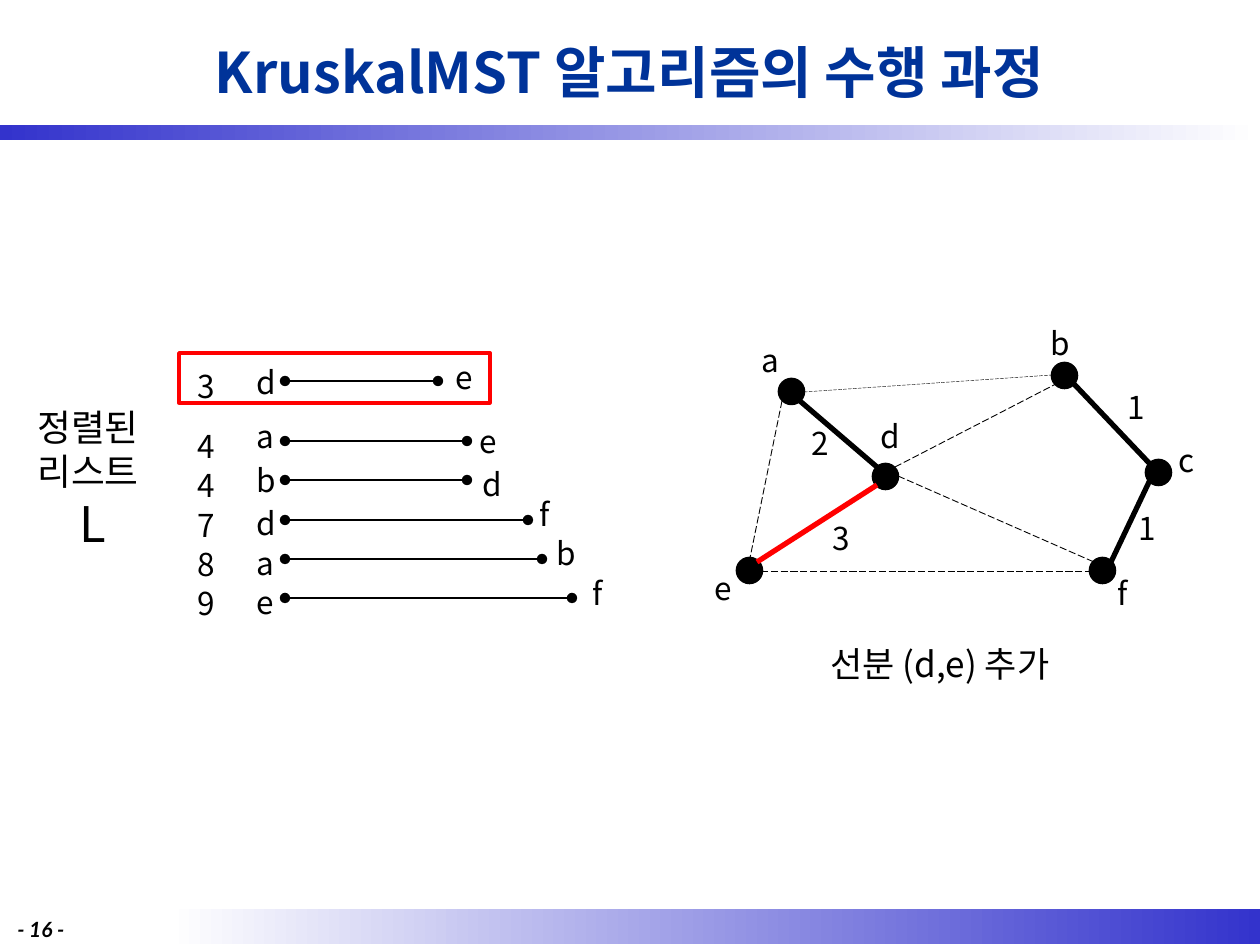
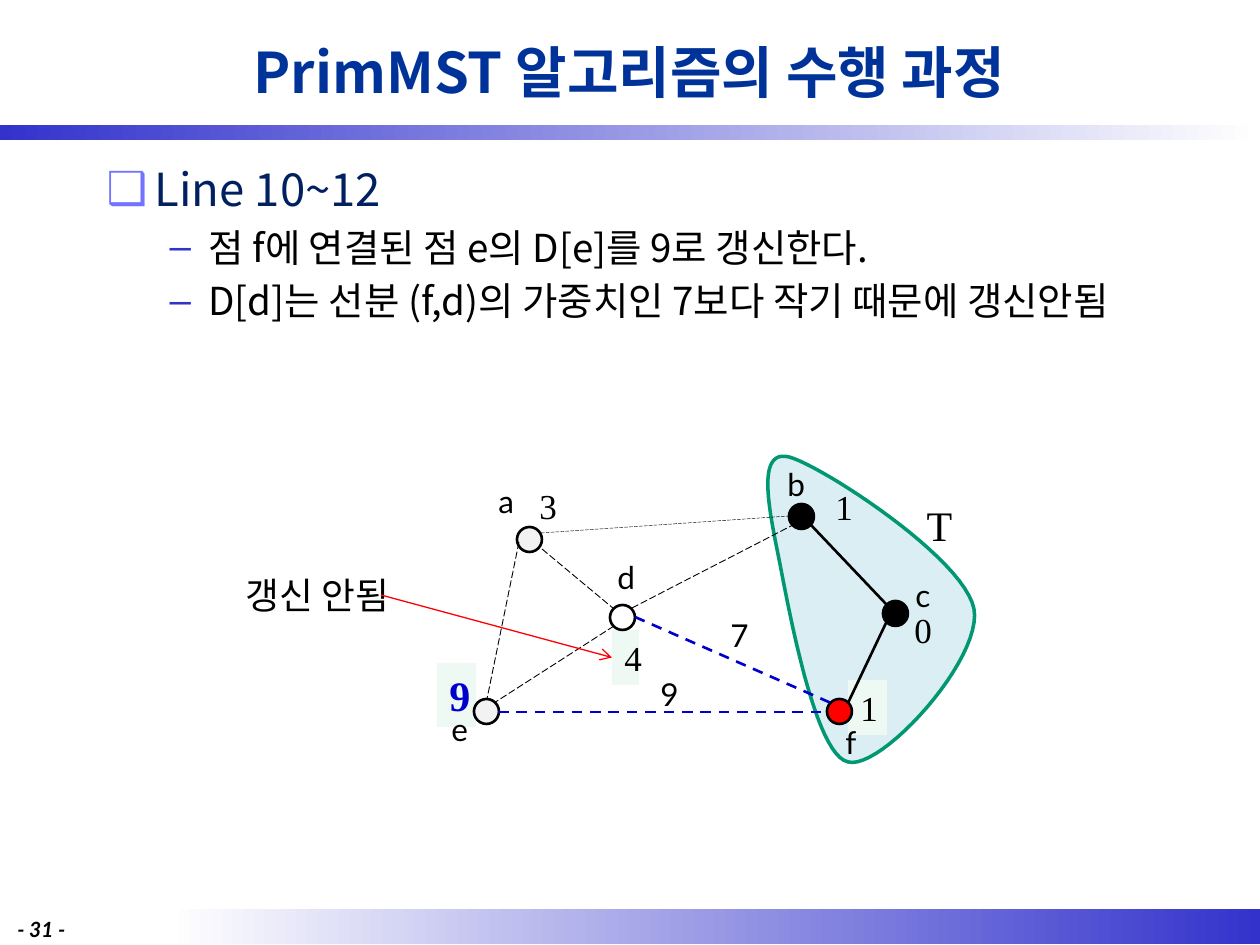
from lxml.etree import SubElement
from pptx import Presentation
from pptx.dml.color import RGBColor
from pptx.enum.dml import MSO_LINE
from pptx.enum.shapes import MSO_CONNECTOR, MSO_SHAPE
from pptx.enum.text import MSO_ANCHOR, MSO_AUTO_SIZE, PP_ALIGN
from pptx.oxml.ns import qn
from pptx.util import Pt

EMU_PER_PX = 914400 / 126

BLACK = RGBColor(0, 0, 0)
WHITE = RGBColor(255, 255, 255)
RED = RGBColor(255, 0, 0)
BLUE = RGBColor(0, 0, 0xCC)
BAND_BLUE = RGBColor(0x33, 0x33, 0xCC)
TITLE_BLUE = RGBColor(0, 0x33, 0x99)
NAVY = RGBColor(0, 0x20, 0x60)
LILAC = RGBColor(0x73, 0x73, 0xFF)
MINT = RGBColor(0xEE, 0xF9, 0xF4)
PALE_BLUE = RGBColor(0xDB, 0xEE, 0xF4)
GREEN = RGBColor(0, 0x97, 0x71)
LIGHT_GRAY = RGBColor(0xF2, 0xF2, 0xF2)

KOREAN = "Noto Sans CJK KR"
LATO = "Lato"
SERIF = "Times New Roman"
KOREAN_LABEL = {"name": KOREAN, "size": Pt(18)}
LATO_LABEL = {"name": LATO, "size": Pt(18)}
SERIF_LABEL = {"name": SERIF, "size": Pt(20)}
PAGE_NUMBER = {"name": LATO, "size": Pt(12), "bold": True, "italic": True}
TITLE = {"name": KOREAN, "size": Pt(32), "bold": True}

NODE_SIZE = 25
NODES = {"a": (779, 379), "b": (1052, 363), "c": (1146, 460),
         "d": (873, 464), "e": (737, 558), "f": (1090, 558)}
NODE_LABELS = {"a": (749, 335), "b": (1038, 318), "c": (1166, 435),
               "d": (868, 411), "e": (702, 563), "f": (1105, 568)}
EDGES = {"ad": (800, 401, 877, 467), "de": (877, 485, 757, 562),
         "ae": (782, 401, 750, 558), "df": (898, 476, 1094, 562),
         "ef": (761, 571, 1090, 571), "ab": (804, 392, 1052, 375),
         "bd": (895, 467, 1056, 384), "bc": (1150, 464, 1074, 384),
         "cf": (1111, 562, 1150, 480)}
PRIM_SHIFT = (-263, 141)

SORTED_EDGES = [
    ("3", "d", 381, 357, 438, "e", 443, 352),
    ("4", "a", 441, 411, 467, "e", 467, 416),
    ("4", "b", 480, 455, 467, "d", 470, 459),
    ("7", "d", 520, 498, 528, "f", 527, 489),
    ("8", "a", 559, 538, 542, "b", 544, 528),
    ("9", "e", 598, 577, 572, "f", 580, 568),
]

TREE_START = (848, 762)
TREE_CURVES = [
    ((815, 755), (789, 610), (779, 559)),
    ((769, 509), (756, 449), (789, 457)),
    ((822, 466), (964, 558), (974, 609)),
    ((983, 659), (881, 771), (848, 762)),
]


def px(*lengths):
    return [round(length * EMU_PER_PX) for length in lengths]


def set_attributes(target, formats):
    for name, value in formats.items():
        setattr(target, name, value)


def write(paragraph, text, formats, color=BLACK, **paragraph_formats):
    run = paragraph.add_run()
    run.text = text
    set_attributes(run.font, formats)
    run.font.color.rgb = color
    SubElement(run.font._element, qn("a:ea"), typeface=KOREAN)
    set_attributes(paragraph, paragraph_formats)


def place(shape, left, top, width, height):
    shape.left, shape.top, shape.width, shape.height = px(left, top, width, height)


def add_text(slide, text, left, top, formats, width=50, height=50, color=BLACK,
             align=PP_ALIGN.LEFT, fill=None):
    box = slide.shapes.add_textbox(*px(left, top, width, height))
    box.text_frame.word_wrap = True
    if fill is not None:
        box.fill.solid()
        box.fill.fore_color.rgb = fill
    write(box.text_frame.paragraphs[0], text, formats, color, alignment=align)
    return box


def add_korean(slide, text, left, top, size=18, width=50, height=50):
    return add_text(slide, text, left, top, {**KOREAN_LABEL, "size": Pt(size)}, width, height)


def add_distance(slide, text, left, top, width=39, height=55, formats=SERIF_LABEL, **options):
    return add_text(slide, text, left, top, formats, width, height,
                    align=PP_ALIGN.CENTER, **options)


def style_shape(shape, fill=None, line=None, weight=1.5):
    shape.shadow.inherit = False
    if fill is None:
        shape.fill.background()
    else:
        shape.fill.solid()
        shape.fill.fore_color.rgb = fill
    if line is None:
        shape.line.fill.background()
    else:
        shape.line.color.rgb = line
        shape.line.width = Pt(weight)


def add_line(slide, ends, color=BLACK, weight=1.5, dash=None, head=None, tail=None):
    line = slide.shapes.add_connector(MSO_CONNECTOR.STRAIGHT, *px(*ends))
    line.line.color.rgb = color
    line.line.width = Pt(weight)
    if dash is not None:
        line.line.dash_style = dash
    outline = line.line._get_or_add_ln()
    for tag, kind in (("a:headEnd", head), ("a:tailEnd", tail)):
        if kind:
            SubElement(outline, qn(tag), type=kind)
    SubElement(line._element.spPr, qn("a:effectLst"))
    return line


def add_band(slide, bounds, *colors):
    band = slide.shapes.add_shape(MSO_SHAPE.RECTANGLE, *px(*bounds))
    style_shape(band)
    band.fill.gradient()
    band.fill.gradient_angle = 0
    for position, (stop, color) in enumerate(zip(band.fill.gradient_stops, colors)):
        stop.color.rgb = color
        stop.position = position


def add_slide(presentation, layout, title, number):
    slide = presentation.slides.add_slide(presentation.slide_layouts[layout])
    add_band(slide, (168, 909, 1092, 35), WHITE, BAND_BLUE)
    add_band(slide, (0, 125, 1260, 15), BAND_BLUE, WHITE)
    heading = slide.shapes.title
    place(heading, 94, 6, 1071, 130)
    set_attributes(heading.text_frame, {"vertical_anchor": MSO_ANCHOR.MIDDLE,
                                        "auto_size": MSO_AUTO_SIZE.NONE})
    write(heading.text_frame.paragraphs[0], title, TITLE, TITLE_BLUE,
          alignment=PP_ALIGN.CENTER)
    add_text(slide, f"- {number} -", 5, 910, PAGE_NUMBER, 89, 30)
    return slide


def add_bullet(paragraph, text, level, size, color, bullet, bullet_color, margin, hanging):
    write(paragraph, text, {"name": KOREAN, "size": Pt(size)}, color, level=level,
          space_before=Pt(size * 0.2), alignment=PP_ALIGN.LEFT)
    properties = paragraph._p.get_or_add_pPr()
    properties.set("marL", str(px(margin)[0]))
    properties.set("indent", str(px(-hanging)[0]))
    SubElement(SubElement(properties, qn("a:buClr")), qn("a:srgbClr"), val=str(bullet_color))
    SubElement(properties, qn("a:buChar"), char=bullet)


def add_graph(slide, nodes, edges, labels, fills, edge_styles, label_formats, shift=(0, 0)):
    dx, dy = shift
    for name, (left, top) in nodes.items():
        node = slide.shapes.add_shape(
            MSO_SHAPE.OVAL, *px(left + dx, top + dy, NODE_SIZE, NODE_SIZE))
        style_shape(node, fills.get(name, BLACK), BLACK)
    for name, (x1, y1, x2, y2) in edges.items():
        dashed = {"weight": 0.25 if name == "ab" else 0.5, "dash": MSO_LINE.LONG_DASH}
        add_line(slide, (x1 + dx, y1 + dy, x2 + dx, y2 + dy), **edge_styles.get(name, dashed))
    for name, (left, top) in labels.items():
        add_text(slide, name, left + dx, top + dy, label_formats)


def add_tree_area(slide):
    points = []
    start = TREE_START
    steps = 24
    for first, second, end in TREE_CURVES:
        for step in range(1, steps + 1):
            t = step / steps
            points.append(tuple(px(*(
                (1 - t) ** 3 * p0 + 3 * (1 - t) ** 2 * t * p1 + 3 * (1 - t) * t ** 2 * p2 + t ** 3 * p3
                for p0, p1, p2, p3 in zip(start, first, second, end)))))
        start = end
    builder = slide.shapes.build_freeform(*px(*TREE_START))
    builder.add_line_segments(points, close=True)
    style_shape(builder.convert_to_shape(), PALE_BLUE, GREEN, 2)


def add_sorted_list(slide):
    for weight, left_name, y, left_top, end, right_name, right, right_top in SORTED_EDGES:
        add_line(slide, (end, y, 285, y), head="oval", tail="oval")
        add_korean(slide, weight, 185, y - 20)
        add_korean(slide, left_name, 244, left_top)
        add_korean(slide, right_name, right, right_top)
    caption = add_korean(slide, "정렬된 리스트", 25, 399, 21, 136, 161)
    write(caption.text_frame.add_paragraph(), "L", {"name": KOREAN, "size": Pt(28)},
          alignment=PP_ALIGN.CENTER)
    frame = slide.shapes.add_shape(MSO_SHAPE.RECTANGLE, *px(179, 353, 311, 50))
    style_shape(frame, line=RED, weight=2)


def build_kruskal(presentation):
    slide = add_slide(presentation, 5, "KruskalMST 알고리즘의 수행 과정", 16)
    chosen = {name: {"weight": 3} for name in ("ad", "bc", "cf")}
    chosen["de"] = {"weight": 3, "color": RED}
    add_graph(slide, NODES, EDGES, NODE_LABELS, {}, chosen, KOREAN_LABEL)
    for weight, left, top in (("1", 1115, 382), ("1", 1126, 503),
                              ("2", 799, 418), ("3", 820, 513)):
        add_korean(slide, weight, left, top)
    add_sorted_list(slide)
    add_korean(slide, "선분 (d,e) 추가", 818, 636, 20, 275)


def build_prim(presentation):
    slide = add_slide(presentation, 1, "PrimMST 알고리즘의 수행 과정", 31)
    body = slide.placeholders[1]
    place(body, 94, 155, 1071, 753)
    body.text_frame.auto_size = MSO_AUTO_SIZE.NONE
    add_bullet(body.text_frame.paragraphs[0], "Line 10~12", 0, 26, NAVY, "❑", LILAC, 48, 48)
    for text in ("점 f에 연결된 점 e의 D[e]를 9로 갱신한다.",
                 "D[d]는 선분 (f,d)의 가중치인 7보다 작기 때문에 갱신안됨"):
        add_bullet(body.text_frame.add_paragraph(), text, 1, 22, BLACK, "–", BAND_BLUE, 102, 39)

    add_distance(slide, "9", 437, 663, height=64, color=BLUE, fill=MINT,
                 formats={"name": SERIF, "size": Pt(24), "bold": True})
    add_tree_area(slide)
    add_distance(slide, "1", 848, 680, fill=MINT)
    kept_distance = add_distance(slide, "4", 612, 630, 27, fill=MINT)
    considered = {"color": BLUE, "dash": MSO_LINE.DASH}
    add_graph(slide,
              {**NODES, "a": (780, 386)},
              {**EDGES, "ad": (805, 408, 877, 468)},
              {**NODE_LABELS, "c": (1166, 429), "f": (1096, 576)},
              {"a": LIGHT_GRAY, "d": WHITE, "e": LIGHT_GRAY, "f": RED},
              {"df": considered, "ef": considered, "bc": {}, "cf": {}},
              LATO_LABEL, PRIM_SHIFT)
    for distance, left, top in (("3", 527, 478), ("0", 902, 602), ("1", 823, 479)):
        add_distance(slide, distance, left, top)
    add_distance(slide, "T", 905, 493, 69, 63, {"name": SERIF, "size": Pt(24)})
    for weight, left, top in (("9", 648, 669), ("7", 718, 610)):
        add_text(slide, weight, left, top, LATO_LABEL)
    add_text(slide, "갱신 안됨", 233, 567, {"name": SERIF, "size": Pt(21)}, 218)
    arrow = add_line(slide, (381, 595, 612, 658), RED, 0.75, tail="arrow")
    arrow.end_connect(kept_distance, 1)


def main():
    presentation = Presentation()
    presentation.slide_width, presentation.slide_height = px(1260, 945)
    build_kruskal(presentation)
    build_prim(presentation)
    presentation.save("out.pptx")


if __name__ == "__main__":
    main()
